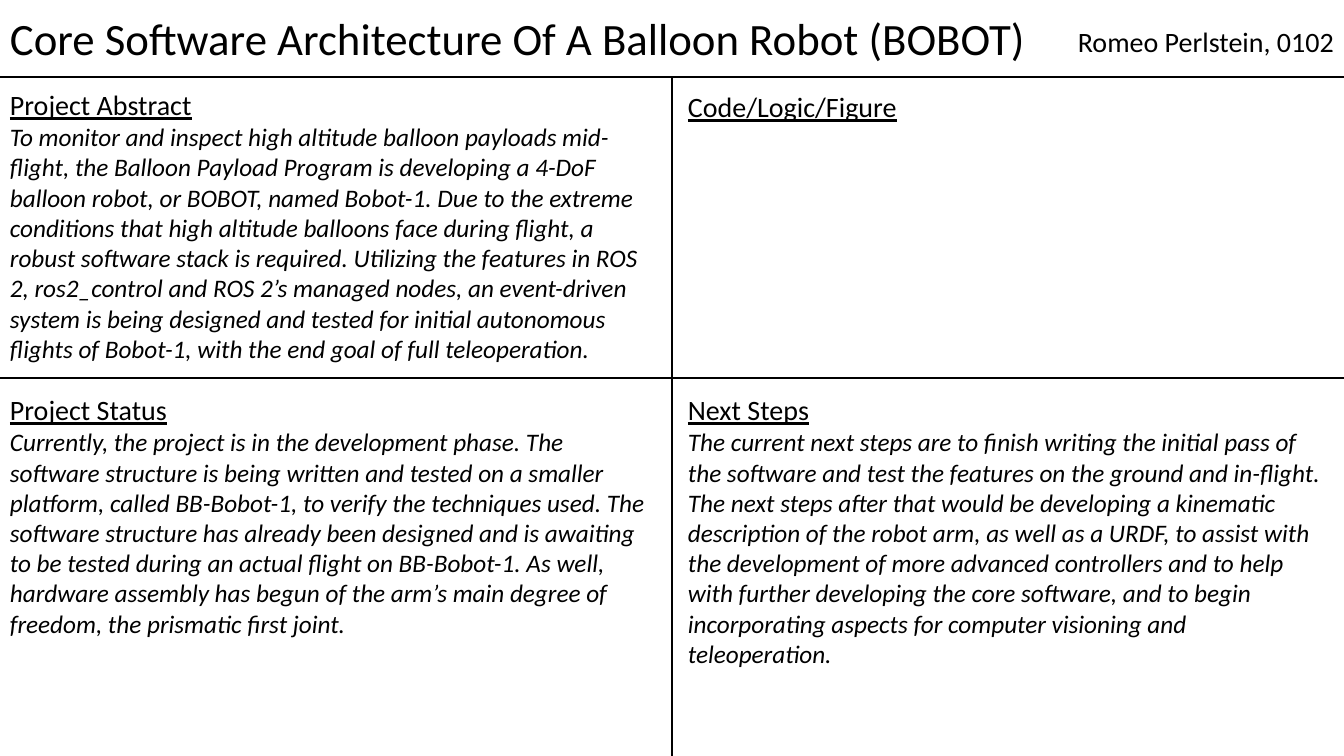
from lxml import etree
from pptx import Presentation
from pptx import util as u
from pptx.dml.color import RGBColor
from pptx.enum import shapes, text
from pptx.oxml.ns import qn

WIDE, HIGH = 1344, 756
SCALE = u.Inches(7.5) / HIGH
BLACK = RGBColor(0, 0, 0)
FONT = "Calibri"
TOP, MID, HALF = 77, 378, 672  # header rule, middle rule, centre line

ABSTRACT = (
    "To monitor and inspect high altitude balloon payloads mid-flight, the "
    "Balloon Payload Program is developing a 4-DoF balloon robot, or BOBOT, "
    "named Bobot-1. Due to the extreme conditions that high altitude balloons "
    "face during flight, a robust software stack is required. Utilizing the "
    "features in ROS 2, ros2_control and ROS 2\u2019s managed nodes, an "
    "event-driven system is being designed and tested for initial autonomous "
    "flights of Bobot-1, with the end goal of full teleoperation.")
STATUS = (
    "Currently, the project is in the development phase. The software "
    "structure is being written and tested on a smaller platform, called "
    "BB-Bobot-1, to verify the techniques used. The software structure has "
    "already been designed and is awaiting to be tested during an actual "
    "flight on BB-Bobot-1. As well, hardware assembly has begun of the "
    "arm\u2019s main degree of freedom, the prismatic first joint.")
STEPS = (
    "The current next steps are to finish writing the initial pass of the "
    "software and test the features on the ground and in-flight. The next "
    "steps after that would be developing a kinematic description of the "
    "robot arm, as well as a URDF, to assist with the development of more "
    "advanced controllers and to help with further developing the core "
    "software, and to begin incorporating aspects for computer visioning and "
    "teleoperation.")


def px(*sizes):
    """Turn pixels into EMU."""
    return [u.Emu(round(size * SCALE)) for size in sizes]


def add_rule(slide, *ends):
    """Draw a thin black line from x1, y1 to x2, y2."""
    rule = slide.shapes.add_connector(shapes.MSO_CONNECTOR.STRAIGHT, *px(*ends))
    rule.line.color.rgb = BLACK
    rule.line.width = u.Pt(1)
    etree.SubElement(rule._element.spPr, qn("a:effectLst"))


def add_text(slide, box, *lines):
    """Fill a text box with (words, size) lines and return its paragraphs."""
    frame = slide.shapes.add_textbox(*px(*box)).text_frame
    frame.word_wrap = True
    frame.auto_size = text.MSO_AUTO_SIZE.SHAPE_TO_FIT_TEXT
    frame.text = "\n".join(words for words, size in lines)
    for para, (words, size) in zip(frame.paragraphs, lines):
        font = para.runs[0].font
        font.name, font.size = FONT, u.Pt(size)
        font.color.rgb = BLACK
    return frame.paragraphs


def add_head(slide, box):
    """Place the title at the left and the author at the right of the box."""
    left, top, width, height = box
    add_text(slide, (left, top + 6, 1123, 65),
             ("Core Software Architecture Of A Balloon Robot (BOBOT)", 32))
    wide = 556
    author = add_text(slide, (left + width - wide, top + 20, wide, 44),
                      ("Romeo Perlstein, 0102", 20))
    author[0].alignment = text.PP_ALIGN.RIGHT


def add_panel(slide, box, title, body=None):
    """Write an underlined heading and, below it, an italic body."""
    lines = [(title, 20)] + ([(body, 18)] if body else [])
    head, *rest = add_text(slide, box, *lines)
    head.runs[0].font.underline = True
    for para in rest:
        para.runs[0].font.italic = True


def build():
    """Make the four-panel slide and save it."""
    deck = Presentation()
    deck.slide_width, deck.slide_height = px(WIDE, HIGH)
    slide = deck.slides.add_slide(deck.slide_layouts[6])
    add_head(slide, (0, 0, WIDE, TOP))
    for level in (TOP, MID):
        add_rule(slide, 0, level, WIDE, level)
    add_rule(slide, HALF, HIGH, HALF, TOP)
    right, low = HALF + 6, MID + 10
    add_panel(slide, (0, TOP + 6, 665, 288), "Project Abstract", ABSTRACT)
    add_panel(slide, (right, TOP + 8, 305, 44), "Code/Logic/Figure")
    add_panel(slide, (0, low, 665, 258), "Project Status", STATUS)
    add_panel(slide, (right, low, 659, 288), "Next Steps", STEPS)
    deck.save("out.pptx")


build()
